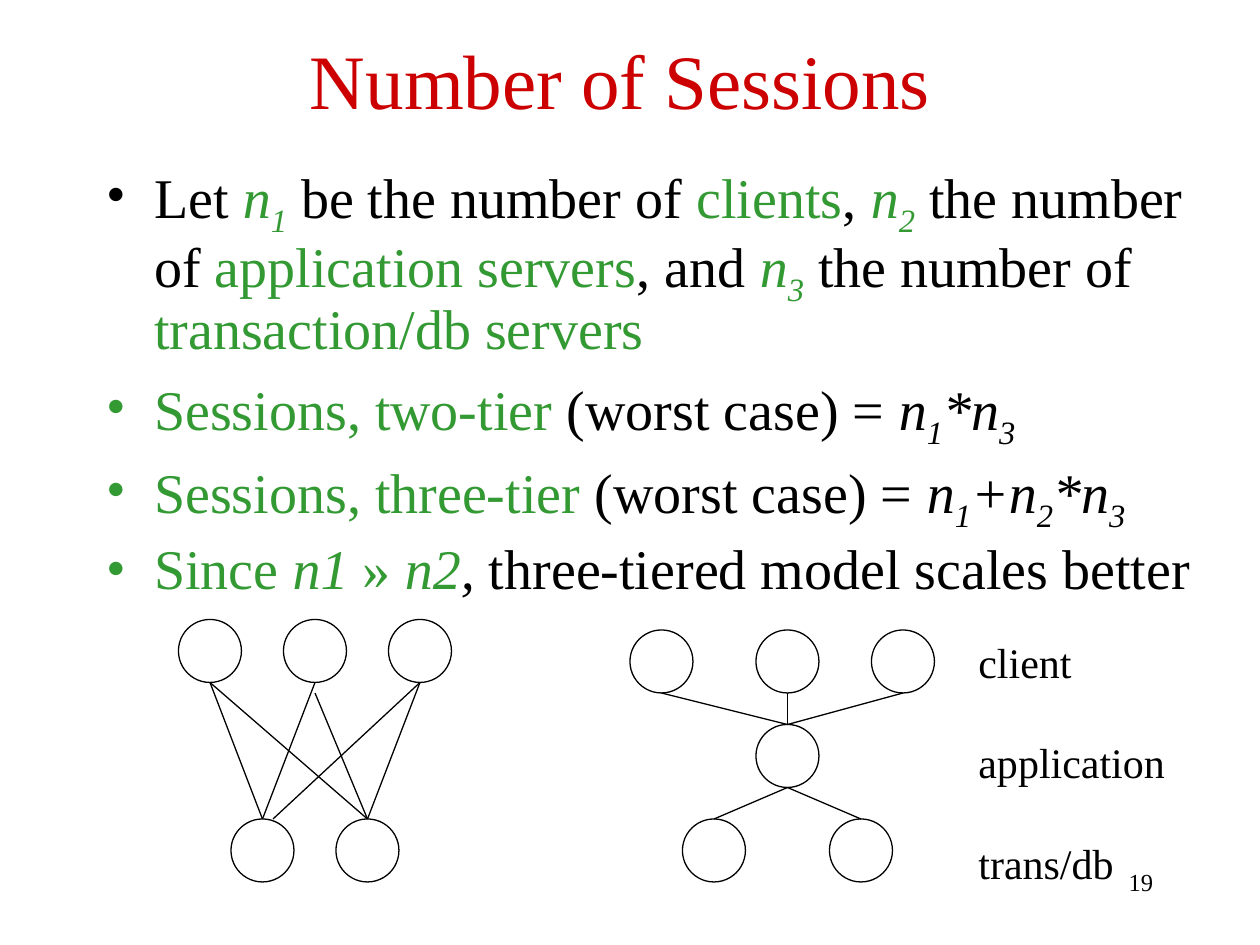
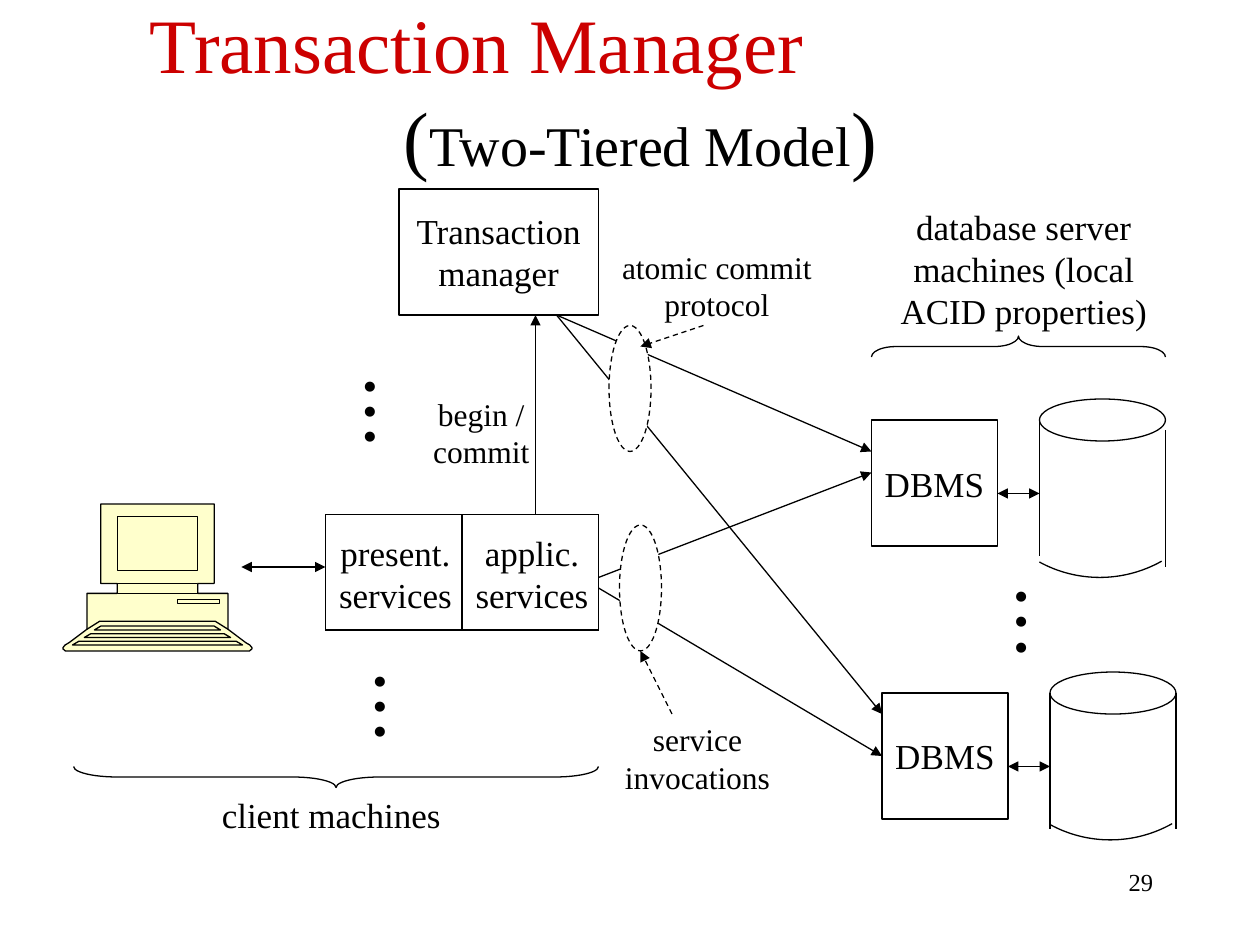
"""Build two slides on sessions and transaction managers in tiered systems."""
from lxml import etree
from pptx import Presentation
from pptx import util as u
from pptx.dml.color import RGBColor
from pptx.enum import dml, shapes, text
from pptx.oxml.ns import qn

RED = RGBColor(0xCC, 0x00, 0x00)
GREEN = RGBColor(0x33, 0x99, 0x33)
BLACK = RGBColor(0, 0, 0)
WHITE = RGBColor(255, 255, 255)
CREAM = RGBColor(0xFF, 0xFF, 0xCC)
FACE = "Times New Roman"
KIND = shapes.MSO_SHAPE
MID = text.PP_ALIGN.CENTER
LEFT = text.PP_ALIGN.LEFT
RIGHT = text.PP_ALIGN.RIGHT

# Style letters: g green, i italic, s subscript
POINTS = [
    [("Let ", ""), ("n", "gi"), ("1", "gis"), (" be the number of", ""),
     (" clients", "g"), (", ", ""), ("n", "gi"), ("2", "gis"),
     (" the number of", ""), (" application servers", "g"), (", and ", ""),
     ("n", "gi"), ("3", "gis"), (" the number of", ""),
     (" transaction/db servers", "g")],
    [("Sessions, two-tier", "g"), (" (worst case) = ", ""), ("n", "i"),
     ("1", "is"), ("*n", "i"), ("3", "is")],
    [("Sessions, three-tier", "g"), (" (worst case) = ", ""), ("n", "i"),
     ("1", "is"), ("+n", "i"), ("2", "is"), ("*n", "i"), ("3", "is")],
    [("Since ", "g"), ("n1 ", "gi"), ("»", "g"), (" n2", "gi"),
     (", ", "i"), ("three-tiered model scales better", "")],
]
TIERS = ["client", "application", "trans/db"]
DIAM = 36
NODES = [(102, 354), (162, 354), (222, 354), (132, 468), (192, 468),
         (360, 360), (432, 360), (498, 360), (432, 414), (390, 468), (474, 468)]
# From node, to node, start drop, end shift
EDGES = [(0, 3, 0, 0), (0, 4, 0, 0), (1, 3, 0, 0), (1, 4, 6, 0),
         (2, 3, 0, 6), (2, 4, 0, 0), (5, 8, 0, 0), (6, 8, 0, 0),
         (7, 8, 0, 0), (8, 10, 0, 0), (8, 9, 0, 0)]

BOXES = [((228, 108, 114, 72), ["Transaction", "manager"]),
         ((498, 240, 72, 72), ["DBMS"]),
         ((504, 396, 72, 72), ["DBMS"])]
LABELS = [
    ((507.6, 114, 154.8, 79.2), 20,
     ["database server", "machines (local", "ACID properties)"]),
    ((187, 300, 78, 55.2), 20, ["present.", "services"]),
    ((265, 300, 78, 55.2), 20, ["applic.", "services"]),
    ((119.5, 450, 139.7, 31.7), 20, ["client machines"]),
    ((240.5, 222, 69.1, 50.4), 18, ["begin /", "commit"]),
    ((350, 408, 97.2, 50.4), 18, ["service", "invocations"]),
    ((348.5, 138, 122.4, 50.4), 18, ["atomic commit", "protocol"]),
]
DOTS = [(190, 386), (556.5, 337.7), (184.3, 217.4)]
FRAME = (186, 264, 342)
TOP, BASE = 294, 360
DUPLEX = [(138, 324, 186, 324), (570, 282, 594, 282), (576, 438, 600, 438)]
CALLS = [(342, 330, 498, 270), (306, 294, 306, 180),
         (318, 180, 498, 258), (318, 180, 504, 408)]
HINTS = [(384, 408, 366, 372), (402, 186, 366, 198)]
RINGS = [(354, 300), (348, 186)]
# Rim left and top, arc top, wall tops left and right
DISKS = [(594, 228, 186, 240, 246), (600, 384, 336, 396, 396)]
# Middle, length and turn
BRACES = [((582, 198), 168, 270), ((192, 444), 300, 90)]
# Half outlines: distance from the axis, depth
AXIS, CREST = 90, 288
CASE = [(0, 0), (32.4, 0), (32.4, 45.4), (23, 45.4), (23, 51.1),
        (40.3, 51.1), (40.3, 71.6), (50.4, 79.2), (52.8, 80.6), (54, 82.1),
        (54, 82.8), (52.6, 84), (0, 84)]
PARTS = [CASE,
         [(32.4, 69.8), (36, 72)],
         [(38.2, 74.2), (41.8, 76.3)],
         [(45, 78.5), (48.6, 80.6)],
         [(23, 7.2), (23, 38.2)],
         [(23, 45.4), (23, 51.1)]]
SLOT = [(11.5, 54.7), (35.3, 54.7), (35.3, 56.9), (11.5, 56.9)]
EDGE = [(-40.3, 71.6), (-33, 67), (33, 67), (40.3, 71.6)]


def pts(vals):
    return [u.Pt(v) for v in vals]


def ink(run, size, color=BLACK):
    run.font.name, run.font.size = FACE, u.Pt(size)
    run.font.color.rgb = color


def write(shape, lines, size, align=MID, wrap=False):
    frame = shape.text_frame
    frame.word_wrap = wrap
    frame.text = "\n".join(lines)
    for para in frame.paragraphs:
        para.alignment = align
        for run in para.runs:
            ink(run, size)
    return frame


def label(slide, box, lines, size, align=MID, wrap=False):
    shape = slide.shapes.add_textbox(*pts(box))
    frame = write(shape, lines, size, align, wrap)
    if not wrap:
        frame.auto_size = text.MSO_AUTO_SIZE.SHAPE_TO_FIT_TEXT
        if align == MID:
            frame.margin_left = frame.margin_right = 0
    return shape


def paint(shape, fill=WHITE, dash=False):
    shape.shadow.inherit = False
    if fill is None:
        shape.fill.background()
    else:
        shape.fill.solid()
        shape.fill.fore_color.rgb = fill
    stroke(shape.line, dash)
    return shape


def stroke(line, dash=False):
    line.color.rgb, line.width = BLACK, u.Pt(0.75)
    if dash:
        line.dash_style = dml.MSO_LINE.DASH


def draw(slide, kind, box, fill=WHITE, dash=False):
    return paint(slide.shapes.add_shape(kind, *pts(box)), fill, dash)


def link(slide, ends, tips=(), dash=False):
    conn = slide.shapes.add_connector(shapes.MSO_CONNECTOR.STRAIGHT, *pts(ends))
    stroke(conn.line, dash)
    props = conn._element.spPr
    for tip in tips:
        etree.SubElement(props.find(qn("a:ln")), qn("a:" + tip), type="triangle")
    etree.SubElement(props, qn("a:effectLst"))
    return conn


def outline(slide, spots, fill=CREAM, close=True):
    spots = [pts((AXIS + x, CREST + y)) for x, y in spots]
    pen = slide.shapes.build_freeform(*spots[0], scale=1.0)
    pen.add_line_segments(spots[1:], close=close)
    paint(pen.convert_to_shape(), fill)


def bullet(para, color):
    props = para._p.get_or_add_pPr()
    props.set("marL", str(u.Pt(27)))
    props.set("indent", str(-u.Pt(27)))
    tint = etree.SubElement(props, qn("a:buClr"))
    etree.SubElement(tint, qn("a:srgbClr"), val=str(color))
    etree.SubElement(props, qn("a:buFont"), typeface=FACE)
    etree.SubElement(props, qn("a:buChar"), char="•")


def start(deck, box, lines, number):
    slide = deck.slides.add_slide(deck.slide_layouts[6])
    frame = label(slide, box, lines, 44, wrap=True).text_frame
    frame.vertical_anchor = text.MSO_ANCHOR.MIDDLE
    frame.paragraphs[0].runs[0].font.color.rgb = RED
    label(slide, (516, 492, 150, 36), [number], 14, RIGHT, True)
    return slide, frame


def sessions(deck):
    slide, _ = start(deck, (54, 0, 612, 90), ["Number of Sessions "], "19")
    frame = slide.shapes.add_textbox(*pts((54, 90, 648, 258))).text_frame
    frame.word_wrap = True
    for i, spans in enumerate(POINTS):
        para = frame.add_paragraph() if i else frame.paragraphs[0]
        para.line_spacing, para.space_before = 0.9, u.Pt(8)
        bullet(para, GREEN if "g" in spans[0][1] else BLACK)
        for words, style in spans:
            run = para.add_run()
            run.text = words
            ink(run, 32, GREEN if "g" in style else BLACK)
            run.font.italic = "i" in style
            if "s" in style:
                run.font._element.set("baseline", "-25000")
    for x, y in NODES:
        draw(slide, KIND.OVAL, (x, y, DIAM, DIAM))
    for a, b, drop, shift in EDGES:
        (ax, ay), (bx, by) = NODES[a], NODES[b]
        link(slide, (ax + DIAM / 2, ay + DIAM + drop, bx + DIAM / 2 + shift, by))
    tiers = label(slide, (552, 360, 121, 151.2), TIERS, 24, LEFT)
    for para in tiers.text_frame.paragraphs[1:]:
        para.space_before = u.Pt(28.8)


def disk(slide, x, y, bow, left, right):
    draw(slide, KIND.OVAL, (x, y, 72, 24))
    arc = draw(slide, KIND.ARC, (x - 37.5, bow, 144, 144), None)
    for i, angle in enumerate((60.6, 118.6)):
        arc.adjustments[i] = angle * 0.6
    for side, top in ((x, left), (x + 72, right)):
        link(slide, (side, top, side, top + 78))


def brace(slide, mid, span, turn):
    x, y = mid
    shape = draw(slide, KIND.RIGHT_BRACE, (x - 6, y - span / 2, 12, span), None)
    shape.adjustments[0] = span / 144
    shape.rotation = turn


def manager(deck):
    slide, frame = start(deck, (30, 12, 672, 78),
                         ["Transaction Manager", "("], "29")
    frame.margin_left = frame.margin_right = u.Pt(7.2)
    first, second = frame.paragraphs
    first.alignment = LEFT
    first._p.get_or_add_pPr().set("marL", str(u.Pt(48.5)))
    for words, size in (("Two-Tiered Model", 32), (")", 44)):
        run = second.add_run()
        run.text = words
        ink(run, size)
    for spot in DISKS:
        disk(slide, *spot)
    for x in FRAME:
        link(slide, (x, TOP, x, BASE))
    for y in (TOP, BASE):
        link(slide, (FRAME[0], y, FRAME[-1], y))
    for box, lines in BOXES:
        block = draw(slide, KIND.RECTANGLE, box)
        write(block, lines, 20).vertical_anchor = text.MSO_ANCHOR.MIDDLE
    for ends in DUPLEX:
        link(slide, ends, ("headEnd", "tailEnd"))
    for ends in CALLS:
        link(slide, ends, ("tailEnd",))
    link(slide, (342, 336, 504, 432), ("tailEnd",)).end_connect(block, 1)
    for x, y in RINGS:
        draw(slide, KIND.OVAL, (x, y, 24, 72), dash=True)
    for ends in HINTS:
        link(slide, ends, ("tailEnd",), True)
    for spot in BRACES:
        brace(slide, *spot)
    for half in PARTS:
        outline(slide, half + [(-x, y) for x, y in reversed(half)])
    outline(slide, SLOT)
    outline(slide, EDGE, None, False)
    for box, size, lines in LABELS:
        label(slide, box, lines, size)
    for x, y in DOTS:
        label(slide, (x, y, 51, 36), ["• • •"], 24).rotation = 270


def main():
    deck = Presentation()
    deck.slide_width, deck.slide_height = pts((720, 540))
    sessions(deck)
    manager(deck)
    deck.save("out.pptx")


if __name__ == "__main__":
    main()
